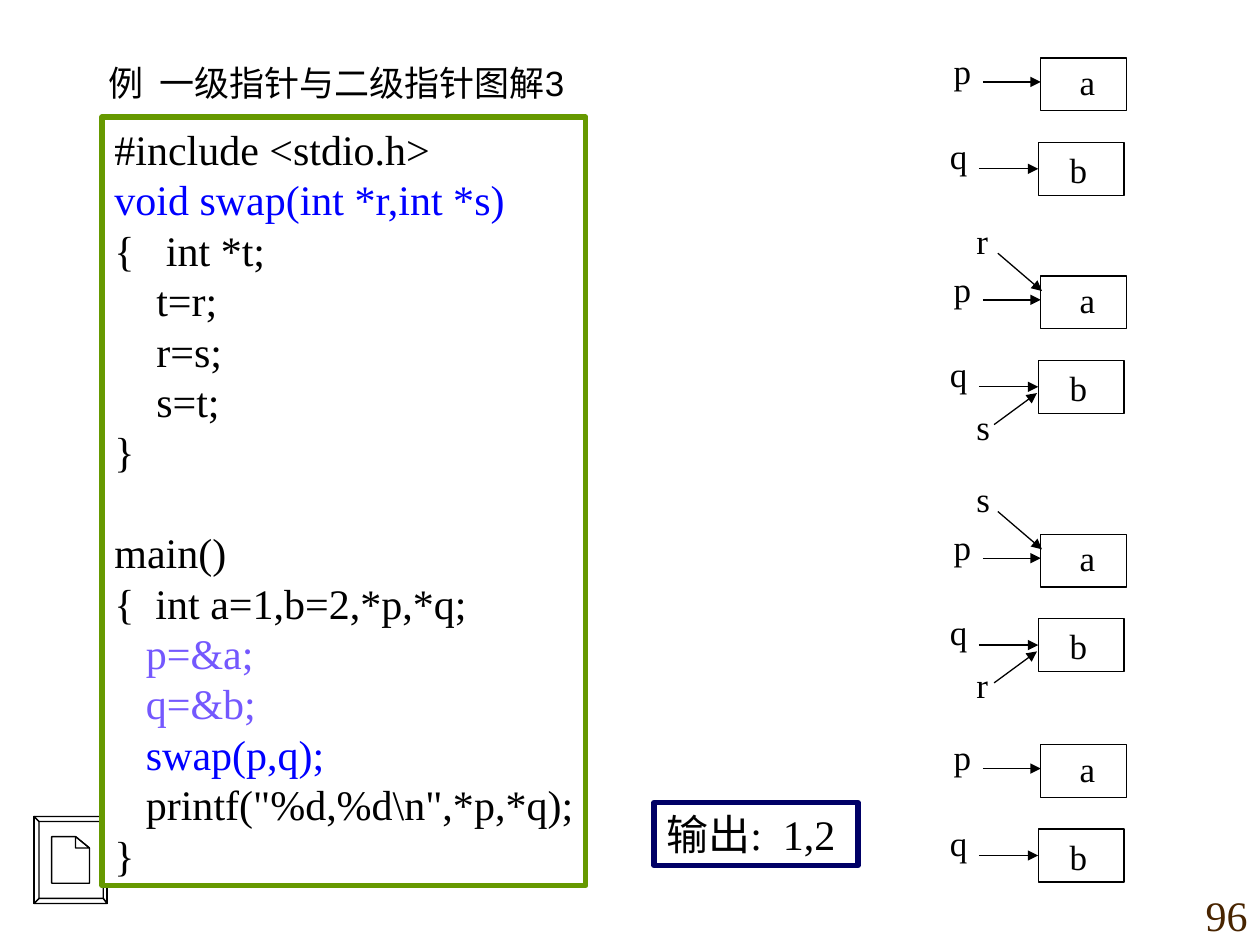
from lxml import etree
from pptx import Presentation
from pptx.dml.color import RGBColor
from pptx.enum.shapes import MSO_CONNECTOR, MSO_SHAPE
from pptx.enum.text import MSO_ANCHOR, MSO_AUTO_SIZE, PP_ALIGN
from pptx.oxml.ns import qn
from pptx.util import Inches, Pt

RECTANGLE = MSO_SHAPE.RECTANGLE
STRAIGHT = MSO_CONNECTOR.STRAIGHT
TOP, MIDDLE, BOTTOM = MSO_ANCHOR.TOP, MSO_ANCHOR.MIDDLE, MSO_ANCHOR.BOTTOM
GROW, FIXED = MSO_AUTO_SIZE.SHAPE_TO_FIT_TEXT, MSO_AUTO_SIZE.NONE
LEFT, RIGHT = PP_ALIGN.LEFT, PP_ALIGN.RIGHT

BLACK = RGBColor(0x00, 0x00, 0x00)
WHITE = RGBColor(0xFF, 0xFF, 0xFF)
BLUE = RGBColor(0x00, 0x00, 0xFF)
VIOLET = RGBColor(0x74, 0x58, 0xFE)
GREEN = RGBColor(0x66, 0x99, 0x00)
NAVY = RGBColor(0x00, 0x00, 0x66)
BROWN = RGBColor(0x48, 0x24, 0x00)

SERIF, SANS = "Times New Roman", "Arial"
LINE_FACTOR = 1.2

CODE = [
    ("#include <stdio.h>", BLACK),
    ("void swap(int *r,int *s)", BLUE),
    ("{   int *t;", BLACK),
    ("    t=r;", BLACK),
    ("    r=s;", BLACK),
    ("    s=t;", BLACK),
    ("}", BLACK),
    ("main()", BLACK),
    ("{  int a=1,b=2,*p,*q;", BLACK),
    ("   p=&a;", VIOLET),
    ("   q=&b;", VIOLET),
    ("   swap(p,q);", BLUE),
    ('   printf("%d,%d\\n",*p,*q);', BLACK),
    ("}", BLACK),
]
MAIN_LINE = 7

STAGES = [(0.46, None), (2.19, ("r", "s")), (4.24, ("s", "r")), (5.91, None)]

DOCUMENT_BUTTON = [
    [(0.27, 6.48), (0.85, 6.48), (0.85, 7.17), (0.27, 7.17)],
    [(0.27, 6.48), (0.85, 6.48), (0.82, 6.52), (0.31, 6.52)],
    [(0.85, 6.48), (0.85, 7.17), (0.82, 7.13), (0.82, 6.52)],
    [(0.85, 7.17), (0.27, 7.17), (0.31, 7.13), (0.82, 7.13)],
    [(0.27, 7.17), (0.27, 6.48), (0.31, 6.52), (0.31, 7.13)],
    [(0.41, 6.64), (0.60, 6.64), (0.71, 6.73), (0.71, 7.01), (0.41, 7.01)],
    [(0.60, 6.64), (0.71, 6.73), (0.60, 6.73)],
]


def apply_format(target, values):
    for name, value in values.items():
        setattr(target, name, value)


def style_shape(shape, fill, line_color, line_width):
    shape.shadow.inherit = False
    if fill is None:
        shape.fill.background()
    else:
        shape.fill.solid()
        shape.fill.fore_color.rgb = fill
    shape.line.color.rgb = line_color
    shape.line.width = Pt(line_width)


def write_lines(shape, lines, size, font_name=SERIF, alignment=LEFT, **frame_format):
    frame = shape.text_frame
    apply_format(frame, {"word_wrap": False, "auto_size": GROW,
                         "vertical_anchor": TOP, **frame_format})
    for index, (text, color) in enumerate(lines):
        paragraph = frame.paragraphs[0] if index == 0 else frame.add_paragraph()
        apply_format(paragraph, {"alignment": alignment,
                                 "line_spacing": Pt(size * LINE_FACTOR)})
        run = paragraph.add_run()
        run.text = text
        apply_format(run.font, {"name": font_name, "size": Pt(size)})
        run.font.color.rgb = color


def add_rectangle(slide, bounds, line_color=BLACK, line_width=0.75, fill=None):
    shape = slide.shapes.add_shape(RECTANGLE, *map(Inches, bounds))
    style_shape(shape, fill, line_color, line_width)
    return shape


def add_label(slide, text, left, top, width=0.34):
    label = slide.shapes.add_textbox(*map(Inches, (left, top, width, 0.44)))
    write_lines(label, [(text, BLACK)], 20)


def add_arrow(slide, *points):
    arrow = slide.shapes.add_connector(STRAIGHT, *map(Inches, points))
    arrow.line.color.rgb = BLACK
    arrow.line.width = Pt(0.75)
    etree.SubElement(arrow.line._get_or_add_ln(), qn("a:tailEnd"), type="triangle")
    etree.SubElement(arrow._element.spPr, qn("a:effectLst"))


def add_stage(slide, top, extra_pointers):
    add_rectangle(slide, (8.26, top, 0.68, 0.42))
    add_rectangle(slide, (8.24, top + 0.67, 0.68, 0.42))
    add_label(slide, "a", 8.47, top - 0.03, 0.32)
    add_label(slide, "b", 8.39, top + 0.67)
    add_arrow(slide, 7.8, top + 0.19, 8.26, top + 0.19)
    add_label(slide, "p", 7.47, top - 0.12)
    add_arrow(slide, 7.77, top + 0.88, 8.24, top + 0.88)
    add_label(slide, "q", 7.44, top + 0.56)
    if extra_pointers:
        upper, lower = extra_pointers
        add_arrow(slide, 7.92, top - 0.18, 8.27, top + 0.12)
        add_label(slide, upper, 7.65, top - 0.5, 0.3)
        add_arrow(slide, 7.89, top + 1.18, 8.23, top + 0.93)
        add_label(slide, lower, 7.65, top + 0.98, 0.3)


def add_document_button(slide):
    first, *others = [[(Inches(x), Inches(y)) for x, y in outline]
                      for outline in DOCUMENT_BUTTON]
    builder = slide.shapes.build_freeform(*first[0])
    builder.add_line_segments(first[1:], close=True)
    for outline in others:
        builder.move_to(*outline[0])
        builder.add_line_segments(outline[1:], close=True)
    style_shape(builder.convert_to_shape(), WHITE, BLACK, 0.75)


def add_code(slide):
    box = add_rectangle(slide, (0.81, 0.93, 3.84, 6.1), GREEN, 3, WHITE)
    write_lines(box, CODE, 24, vertical_anchor=MIDDLE)
    box.text_frame.paragraphs[MAIN_LINE].space_before = Pt(24 * LINE_FACTOR)


def add_output(slide):
    box = add_rectangle(slide, (5.19, 6.37, 1.62, 0.5), NAVY, 3)
    write_lines(box, [("输出:  1,2", BLACK)], 24)


def add_page_number(slide):
    box = slide.shapes.add_textbox(*map(Inches, (9, 7.01, 1, 0.5)))
    write_lines(box, [("96", BROWN)], 24, alignment=RIGHT, word_wrap=True,
                auto_size=FIXED, vertical_anchor=BOTTOM)


def set_title(slide):
    title = slide.shapes.title
    apply_format(title, {"left": Inches(0.76), "top": Inches(0.38),
                         "width": Inches(8.5), "height": Inches(0.49)})
    write_lines(title, [("例  一级指针与二级指针图解3", BLACK)], 20, SANS,
                word_wrap=True, auto_size=FIXED, vertical_anchor=BOTTOM)


def main():
    presentation = Presentation()
    presentation.slide_width = Inches(10)
    presentation.slide_height = Inches(7.5)
    slide = presentation.slides.add_slide(presentation.slide_layouts[5])
    set_title(slide)
    add_page_number(slide)
    add_document_button(slide)
    add_code(slide)
    for top, extra_pointers in STAGES:
        add_stage(slide, top, extra_pointers)
    add_output(slide)
    presentation.save("out.pptx")


if __name__ == "__main__":
    main()
